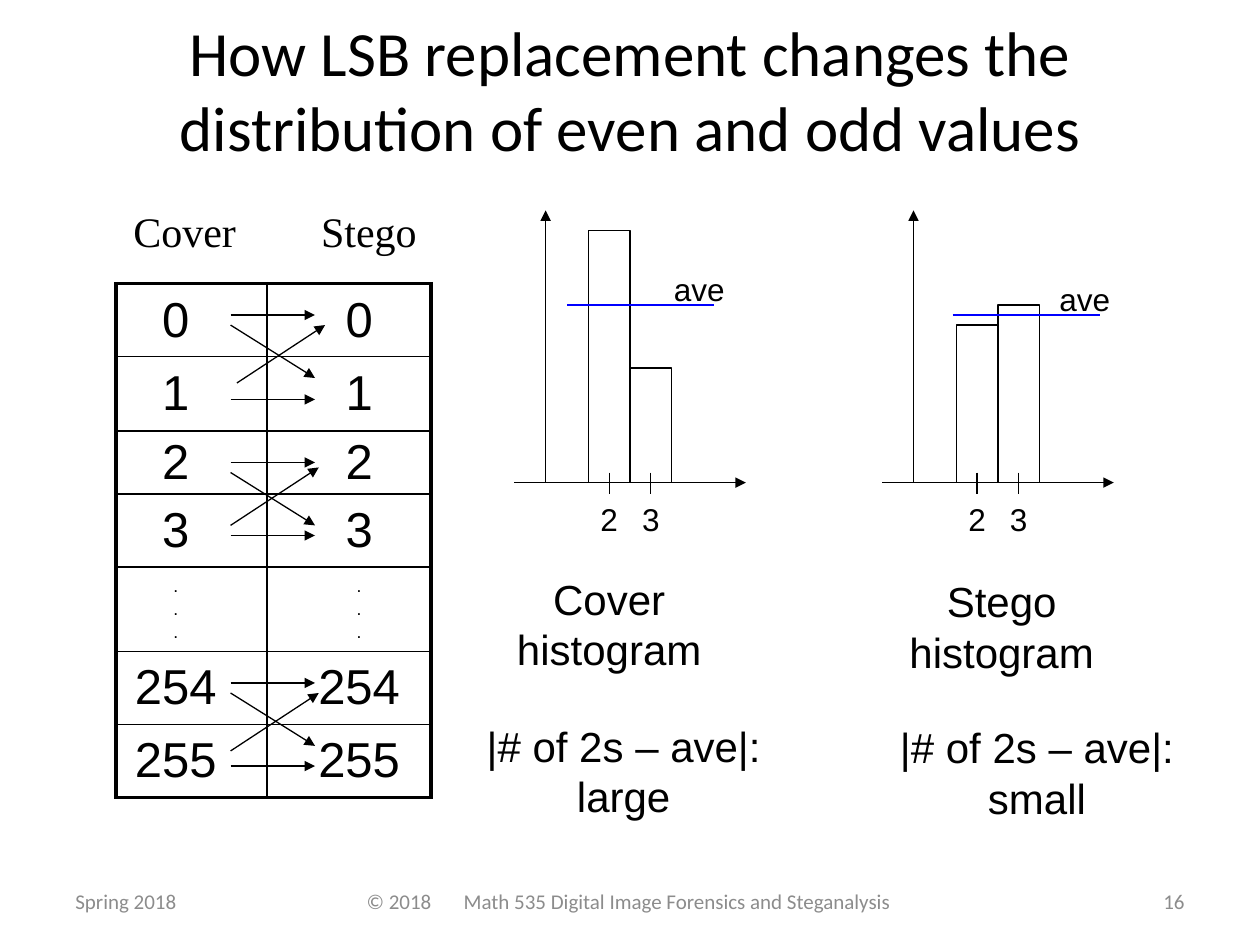
from lxml import etree
from pptx import Presentation
from pptx.dml.color import RGBColor
from pptx.enum.shapes import MSO_CONNECTOR as Connector, MSO_SHAPE as Shape
from pptx.enum.text import MSO_ANCHOR as Anchor, MSO_AUTO_SIZE as AutoSize, PP_ALIGN as Align
from pptx.oxml.ns import qn
from pptx.util import Inches, Pt

COLORS = {"ink": "000000", "footer": "8C8C8C", "average": "0000FF"}

# Pixel values by table row
ROWS = ["0", "1", "2", "3", ".\n.\n.", "254", "255"]
ROW_HEIGHTS = [0.58, 0.59, 0.5, 0.58, 0.67, 0.58, 0.58]
COLUMN_WIDTHS = [1.2, 1.3]
# Side margins that leave room for the arrows
CELL_MARGINS = [(0, 0.25), (0.16, 0)]

# Each value pair: y of the upper and lower arrow, start of the rising arrow
VALUE_PAIRS = [
    (2.5, 3.17, (1.88, 3.04)),
    (3.67, 4.25, (1.83, 4.17)),
    (5.42, 6.08, (1.83, 5.96)),
]


def color(name):
    return RGBColor.from_string(COLORS[name])


def style(paragraph, size, font="Arial", ink="ink", align=Align.CENTER):
    paragraph.alignment = align
    paragraph.font.size = Pt(size)
    paragraph.font.name = font
    paragraph.font.color.rgb = color(ink)


def add_text(slide, box, text, size, font="Arial", ink="ink",
             align=Align.CENTER, wrap=True, anchor=Anchor.TOP):
    shape = slide.shapes.add_textbox(*map(Inches, box))
    frame = shape.text_frame
    frame.text = text
    frame.word_wrap = wrap
    frame.vertical_anchor = anchor
    style(frame.paragraphs[0], size, font, ink, align)
    return frame


def set_tab(paragraph, position):
    properties = paragraph._p.get_or_add_pPr()
    tabs = etree.Element(qn("a:tabLst"))
    etree.SubElement(tabs, qn("a:tab"), pos=str(Inches(position)), algn="l")
    properties.find(qn("a:defRPr")).addprevious(tabs)


def add_line(slide, start, end, ink="ink", arrow=False):
    points = map(Inches, (*start, *end))
    line = slide.shapes.add_connector(Connector.STRAIGHT, *points)
    line.line.color.rgb = color(ink)
    line.line.width = Pt(0.75)
    if arrow:
        etree.SubElement(line.line._get_or_add_ln(), qn("a:tailEnd"), type="triangle")
    etree.SubElement(line._element.spPr, qn("a:effectLst"))


def add_bar(slide, left, top, width, height):
    bar = slide.shapes.add_shape(Shape.RECTANGLE, *map(Inches, (left, top, width, height)))
    bar.shadow.inherit = False
    bar.fill.background()
    bar.line.color.rgb = color("ink")
    bar.line.width = Pt(0.75)


def set_borders(cell, widths):
    """Widths in points for the left, right, top and bottom border."""
    properties = cell._tc.get_or_add_tcPr()
    for index, (side, width) in enumerate(zip("LRTB", widths)):
        border = etree.Element(qn(f"a:ln{side}"), w=str(Pt(width)))
        fill = etree.SubElement(border, qn("a:solidFill"))
        etree.SubElement(fill, qn("a:srgbClr"), val=COLORS["ink"])
        properties.insert(index, border)


def add_value_table(slide):
    box = (0.92, 2.25, sum(COLUMN_WIDTHS), sum(ROW_HEIGHTS))
    frame = slide.shapes.add_table(len(ROWS), len(COLUMN_WIDTHS), *map(Inches, box))
    table = frame.table
    table.first_row = table.horz_banding = False
    for column, width in zip(table.columns, COLUMN_WIDTHS):
        column.width = Inches(width)
    last = len(ROWS) - 1
    for row, (text, height) in enumerate(zip(ROWS, ROW_HEIGHTS)):
        table.rows[row].height = Inches(height)
        for column, (left, right) in enumerate(CELL_MARGINS):
            cell = table.cell(row, column)
            cell.text = text
            cell.vertical_anchor = Anchor.MIDDLE
            cell.margin_left, cell.margin_right = Inches(left), Inches(right)
            cell.margin_top = cell.margin_bottom = 0
            for paragraph in cell.text_frame.paragraphs:
                style(paragraph, 10 if "." in text else 28)
                if "." in text:
                    paragraph.space_before = Pt(2)
            cell.fill.background()
            outer = (column == 0, column == 1, row == 0, row == last)
            set_borders(cell, [2.25 if edge else 1 for edge in outer])


def add_pair_arrows(slide, upper, lower, rise):
    left, right = 1.83, 2.5
    rise_end = (rise[0] + 0.7, rise[1] - 0.46)
    for start, end in [
        ((left, upper), (right, upper)),
        ((left, lower), (right, lower)),
        ((left, upper + 0.08), (right, upper + 0.5)),
        (rise, rise_end),
    ]:
        add_line(slide, start, end, arrow=True)


def add_histogram(slide, axis_x, bar_tops, average_at):
    base, bar_width = 3.83, 0.33
    # Bars with ticks and labels
    for index, (label, top) in enumerate(zip("23", bar_tops)):
        left = axis_x + 0.34 + index * bar_width
        middle = left + bar_width / 2
        add_bar(slide, left, top, bar_width, base - top)
        add_line(slide, (middle, 3.75), (middle, 3.92))
        add_text(slide, (middle - 0.17, 3.92, 0.34, 0.4), label, 18, wrap=False)
    # Axes
    add_line(slide, (axis_x, base), (axis_x, 1.67), arrow=True)
    add_line(slide, (axis_x - 0.25, base), (axis_x + 1.59, base), arrow=True)
    # Average
    left, top = average_at
    add_line(slide, average_at, (left + 1.17, top), ink="average")
    add_text(slide, (left + 0.75, top - 0.33, 0.6, 0.4), "ave", 18, wrap=False)


def add_title(slide, text):
    title = slide.shapes.title
    title.left, title.top, title.width, title.height = map(Inches, (0.5, 0.21, 9, 0.99))
    frame = title.text_frame
    frame.text = text
    frame.auto_size = AutoSize.NONE
    frame.vertical_anchor = Anchor.MIDDLE
    style(frame.paragraphs[0], 36, "Calibri")


def add_footer(slide):
    look = {"size": 12, "font": "Calibri", "ink": "footer", "anchor": Anchor.MIDDLE}
    add_text(slide, (0.5, 6.95, 1.24, 0.4), "Spring 2018", align=Align.LEFT, **look)
    course = add_text(slide, (2.49, 6.95, 5.04, 0.4),
                      "© 2018\tMath 535 Digital Image Forensics and Steganalysis",
                      align=Align.LEFT, **look)
    course.margin_left = Inches(0.42)
    set_tab(course.paragraphs[0], 0.77)
    add_text(slide, (9, 6.95, 0.5, 0.4), "16", align=Align.RIGHT, **look)


def main():
    presentation = Presentation()
    presentation.slide_width, presentation.slide_height = Inches(10), Inches(7.5)
    slide = presentation.slides.add_slide(presentation.slide_layouts[5])
    add_title(slide, "How LSB replacement changes the distribution of even and odd values")
    add_footer(slide)

    # Mapping of cover values to stego values
    heading = add_text(slide, (0.96, 1.58, 2.46, 0.5), "Cover\tStego", 24,
                       "Times New Roman", align=Align.LEFT, wrap=False)
    set_tab(heading.paragraphs[0], 1.49)
    add_value_table(slide)
    for upper, lower, rise in VALUE_PAIRS:
        add_pair_arrows(slide, upper, lower, rise)

    # Histograms before and after embedding
    add_histogram(slide, 4.33, (1.83, 2.92), (4.5, 2.42))
    add_histogram(slide, 7.25, (2.58, 2.42), (7.56, 2.5))

    # Captions
    for box, text in [
        ((3.75, 4.5, 2.17, 0.9), "Cover histogram"),
        ((6.83, 4.52, 2.24, 0.9), "Stego histogram"),
        ((3.48, 5.67, 2.94, 0.9), "|# of 2s – ave|: large"),
        ((7, 5.68, 2.46, 0.9), "|# of 2s – ave|: small"),
    ]:
        add_text(slide, box, text, 24)

    presentation.save("out.pptx")


if __name__ == "__main__":
    main()
